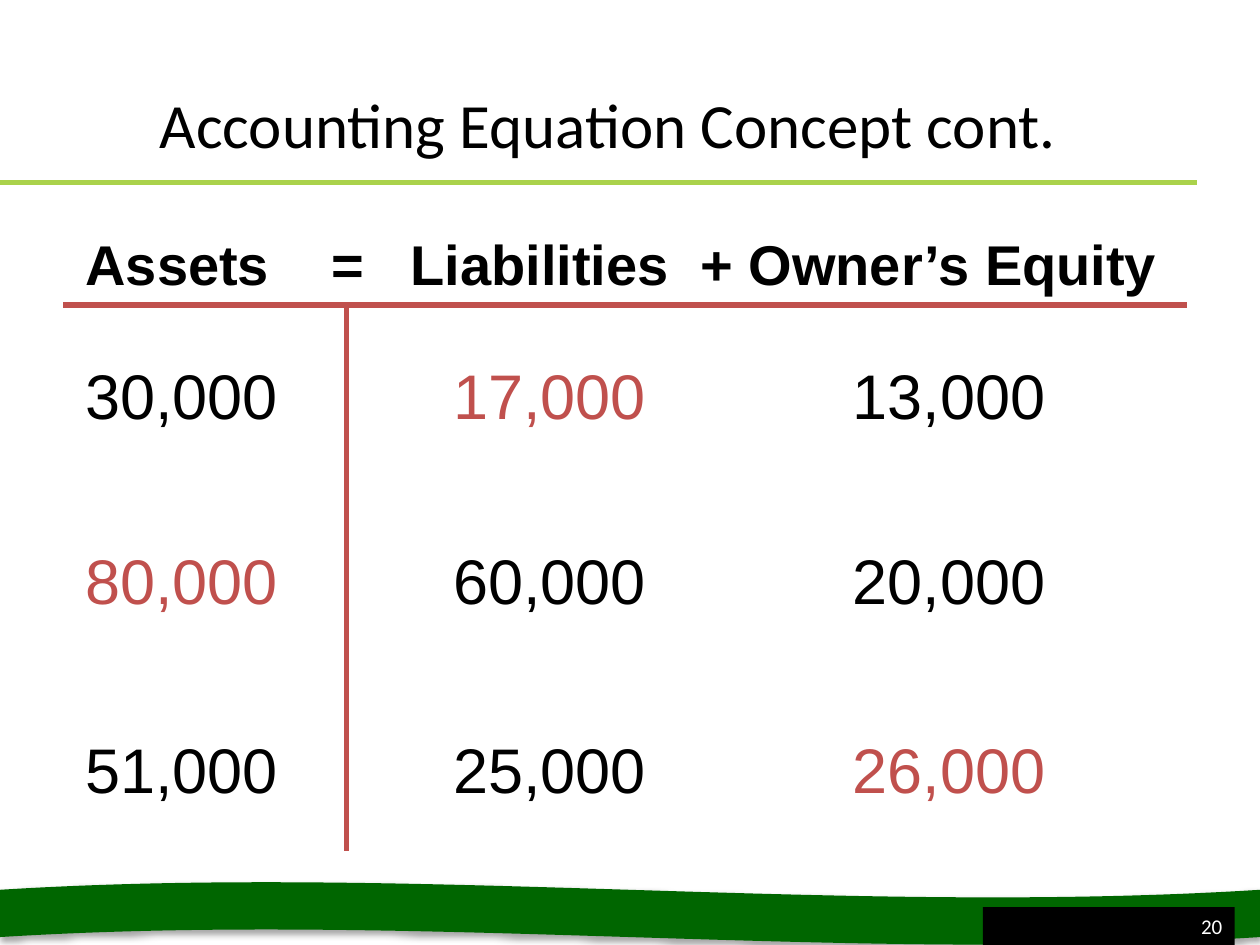
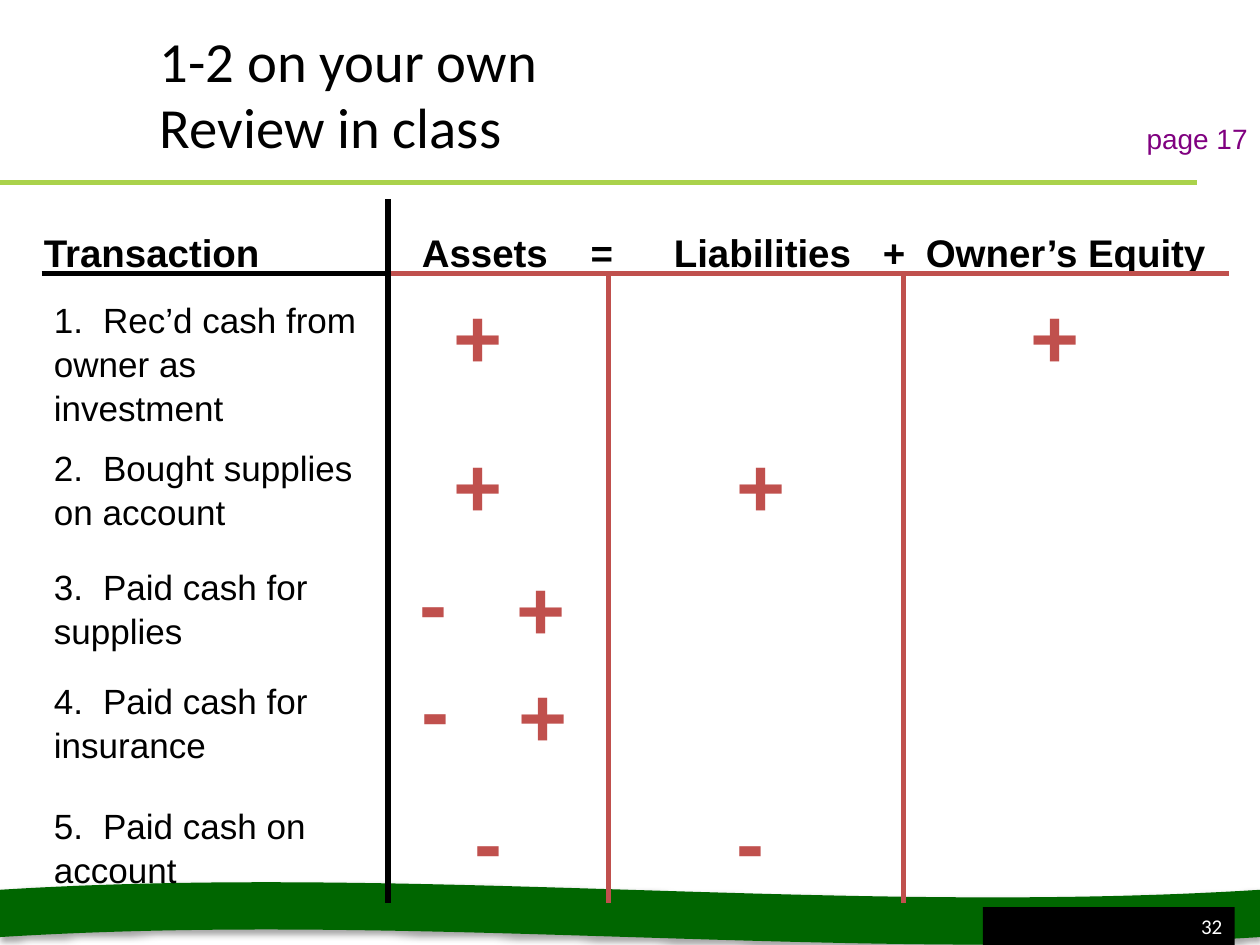
from dataclasses import dataclass

from lxml.etree import SubElement
from pptx import Presentation
from pptx.dml.color import RGBColor
from pptx.enum.shapes import MSO_CONNECTOR, MSO_SHAPE
from pptx.enum.text import MSO_ANCHOR, PP_ALIGN
from pptx.oxml.ns import qn
from pptx.util import Pt

PX = 9144
PAGE = (0, 0, 1000, 750)


@dataclass(frozen=True)
class Theme:
    """Colours, fonts and type sizes of the deck."""
    ink: str = "000000"
    paper: str = "FFFFFF"
    red: str = "C0504D"
    lime: str = "AAD24B"
    green: str = "006600"
    purple: str = "800080"
    head: str = "Calibri"
    body: str = "Arial"
    title: float = 36
    small: float = 32.4
    value: float = 36
    sum: float = 32
    label: float = 20
    column: float = 22
    mark: float = 48
    note: float = 16
    number: float = 12
    rule: float = 3
    lead: float = 1.05


THEME = Theme()


def color(code):
    """Turn a hex code into a colour."""
    return RGBColor.from_string(code)


def style(frame, words, size, tint=THEME.ink, face=THEME.body, bold=False,
          align=PP_ALIGN.LEFT, anchor=MSO_ANCHOR.TOP, lead=None, tabs=()):
    """Fill a text frame with one styled paragraph."""
    frame.word_wrap = True
    frame.vertical_anchor = anchor
    para = frame.paragraphs[0]
    para.text = words
    para.alignment = align
    para.line_spacing = lead
    if tabs:
        stops = SubElement(para._p.get_or_add_pPr(), qn("a:tabLst"))
        for stop in tabs:
            SubElement(stops, qn("a:tab"), pos=str(stop * PX), algn="l")
    font = para.font
    font.name, font.size, font.bold = face, Pt(size), bold
    font.color.rgb = color(tint)


def write(slide, box, words, size, **look):
    """Add a text box."""
    area = slide.shapes.add_textbox(*(n * PX for n in box))
    style(area.text_frame, words, size, **look)


def rule(slide, start, end, tint):
    """Draw a straight line without shadow."""
    line = slide.shapes.add_connector(
        MSO_CONNECTOR.STRAIGHT, *(n * PX for n in (*start, *end)))
    line.line.color.rgb = color(tint)
    line.line.width = Pt(THEME.rule)
    SubElement(line._element.spPr, qn("a:effectLst"))


def block(slide, kind, box, tint):
    """Add a filled shape without outline."""
    shape = slide.shapes.add_shape(kind, *(n * PX for n in box))
    shape.shadow.inherit = False
    shape.fill.solid()
    shape.fill.fore_color.rgb = color(tint)
    shape.line.fill.background()
    return shape


def shade(shape):
    """Give a shape a soft shadow below it."""
    effects = shape._element.spPr.find(qn("a:effectLst"))
    outer = SubElement(effects, qn("a:outerShdw"), blurRad="40000",
                       dist="23000", dir="5400000", rotWithShape="0")
    tone = SubElement(outer, qn("a:srgbClr"), val=THEME.ink)
    SubElement(tone, qn("a:alpha"), val="35000")


def frame(deck, title, number, size, lead=None):
    """Start a slide with its title, rule, wave and number."""
    slide = deck.slides.add_slide(deck.slide_layouts[6])
    left, top, width, height = PAGE
    shade(block(slide, MSO_SHAPE.WAVE,
                (left, top + height - 50, width, 50), THEME.green))
    rule(slide, (left, top + 145), (left + 950, top + 145), THEME.lime)
    plate = block(slide, MSO_SHAPE.RECTANGLE,
                  (left + 780, top + height - 30, 200, 30), THEME.ink)
    style(plate.text_frame, number, THEME.number, tint=THEME.paper,
          face=THEME.head, align=PP_ALIGN.RIGHT, anchor=MSO_ANCHOR.MIDDLE)
    write(slide, (left + 117, top + 8, 816, 125), title, size,
          face=THEME.head, anchor=MSO_ANCHOR.BOTTOM, lead=lead)
    return slide


def balance(slide, box):
    """Lay out the equation with three rows of amounts."""
    left, top, width, height = box
    write(slide, (left + 8, top, 875, 63),
          "Assets\t=\tLiabilities\t+ Owner’s Equity", THEME.sum,
          bold=True, lead=THEME.lead, tabs=(195, 258, 488))
    base = top + 67
    rule(slide, (left, base), (left + width, base), THEME.red)
    rule(slide, (left + 225, base), (left + 225, top + height), THEME.red)
    rows = (
        (100, 1, ("30,000", "17,000", "13,000")),
        (247, 0, ("80,000", "60,000", "20,000")),
        (397, 2, ("51,000", "25,000", "26,000")),
    )
    for down, answer, sums in rows:
        for col, (over, amount) in enumerate(zip((8, 300, 617), sums)):
            write(slide, (left + over, top + down, 200, 70), amount,
                  THEME.value, lead=THEME.lead,
                  tint=THEME.red if col == answer else THEME.ink)


def ledger(slide, box):
    """Lay out transactions with the signs of their effects."""
    left, top, width, height = box
    write(slide, (left, top + 17, 950, 47),
          "Transaction\tAssets\t=\tLiabilities\t+\tOwner’s Equity",
          THEME.column, bold=True, lead=THEME.lead,
          tabs=(300, 434, 500, 666, 700))
    base, split = top + 59, left + 283
    rule(slide, (split, base), (left + width, base), THEME.red)
    for over in (458, 692):
        rule(slide, (left + over, base), (left + over, top + height),
             THEME.red)
    rule(slide, (split, top), (split, top + height), THEME.ink)
    rule(slide, (left + 8, base), (split, base), THEME.ink)
    rows = (
        (72, "Rec’d cash from owner as investment",
         (("+", 325, -13), ("+", 783, -13))),
        (190, "Bought supplies on account",
         (("+", 325, -13), ("+", 550, -13))),
        (284, "Paid cash for supplies",
         (("-", 298, -14), ("+", 375, -9))),
        (375, "Paid cash for insurance",
         (("-", 300, -20), ("+", 377, -15))),
        (474, "Paid cash on account",
         (("-", 342, -14), ("-", 550, -14))),
    )
    for count, (down, deed, signs) in enumerate(rows, 1):
        write(slide, (left + 8, top + down, 267, 77), f"{count}.\t{deed}",
              THEME.label, lead=THEME.lead, tabs=(39,))
        for sign, over, lift in signs:
            write(slide, (left + over, top + down + lift, 58, 90), sign,
                  THEME.mark, tint=THEME.red, bold=True, lead=THEME.lead)


def main():
    """Build and save both slides."""
    deck = Presentation()
    deck.slide_width, deck.slide_height = (n * PX for n in PAGE[2:])
    slide = frame(deck, "Accounting Equation Concept cont.", "20",
                  THEME.title)
    balance(slide, (50, 175, 892, 500))
    slide = frame(deck, "1-2 on your own\nReview in class", "32",
                  THEME.small, lead=0.97)
    write(slide, (850, 78, 150, 50), "page 17", THEME.note,
          tint=THEME.purple, align=PP_ALIGN.RIGHT, anchor=MSO_ANCHOR.BOTTOM)
    ledger(slide, (25, 158, 950, 559))
    deck.save("out.pptx")


if __name__ == "__main__":
    main()
